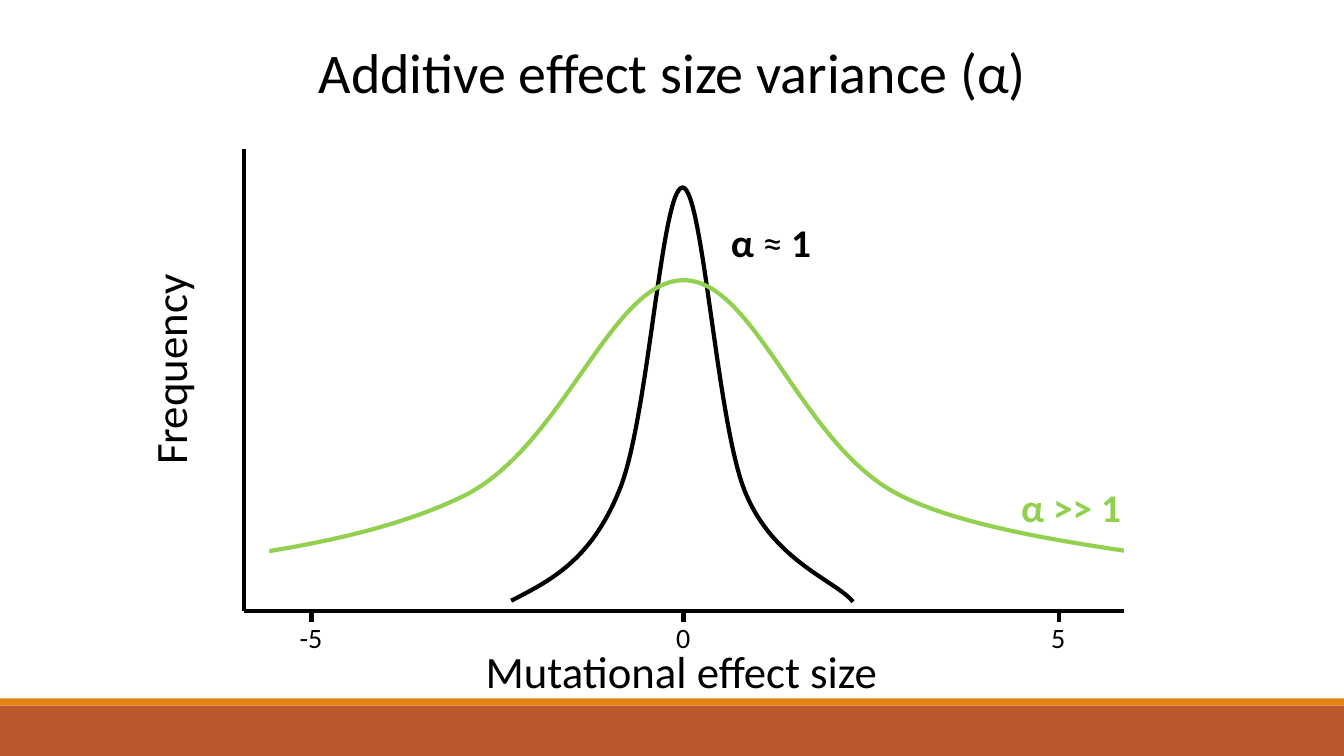
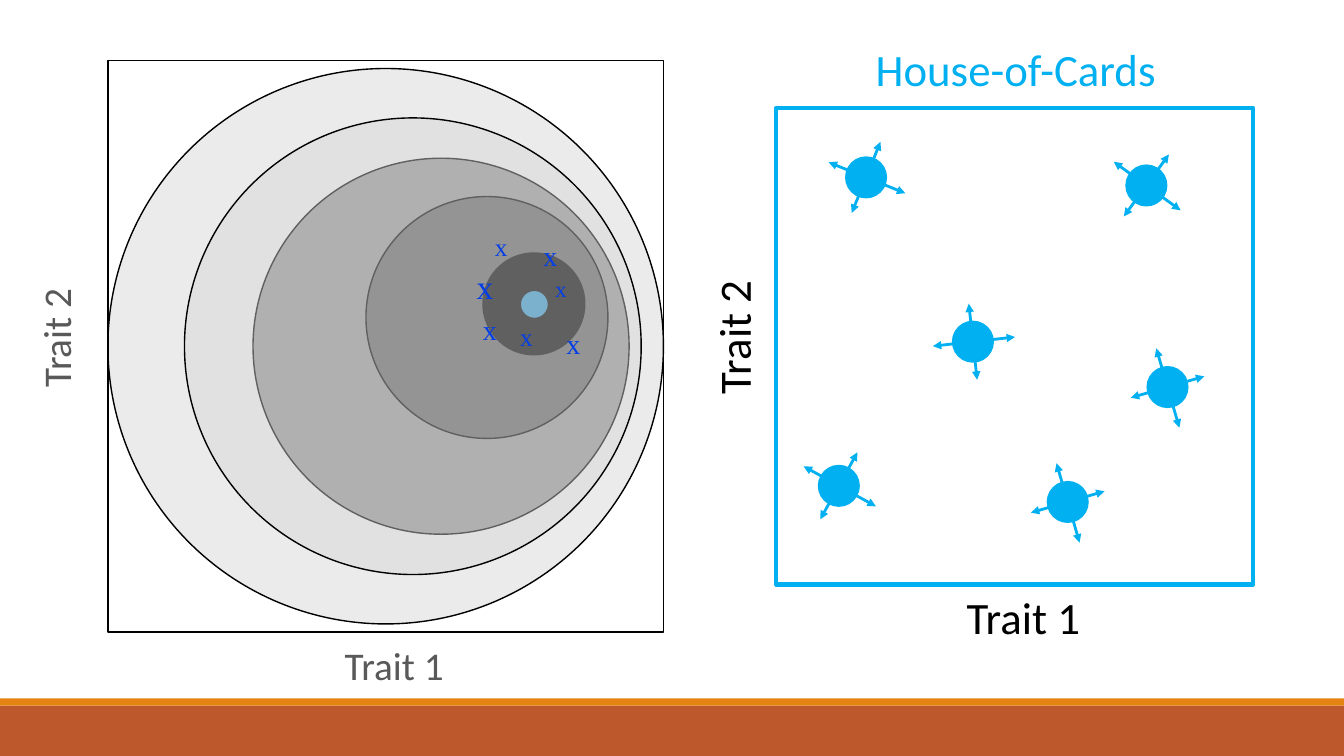
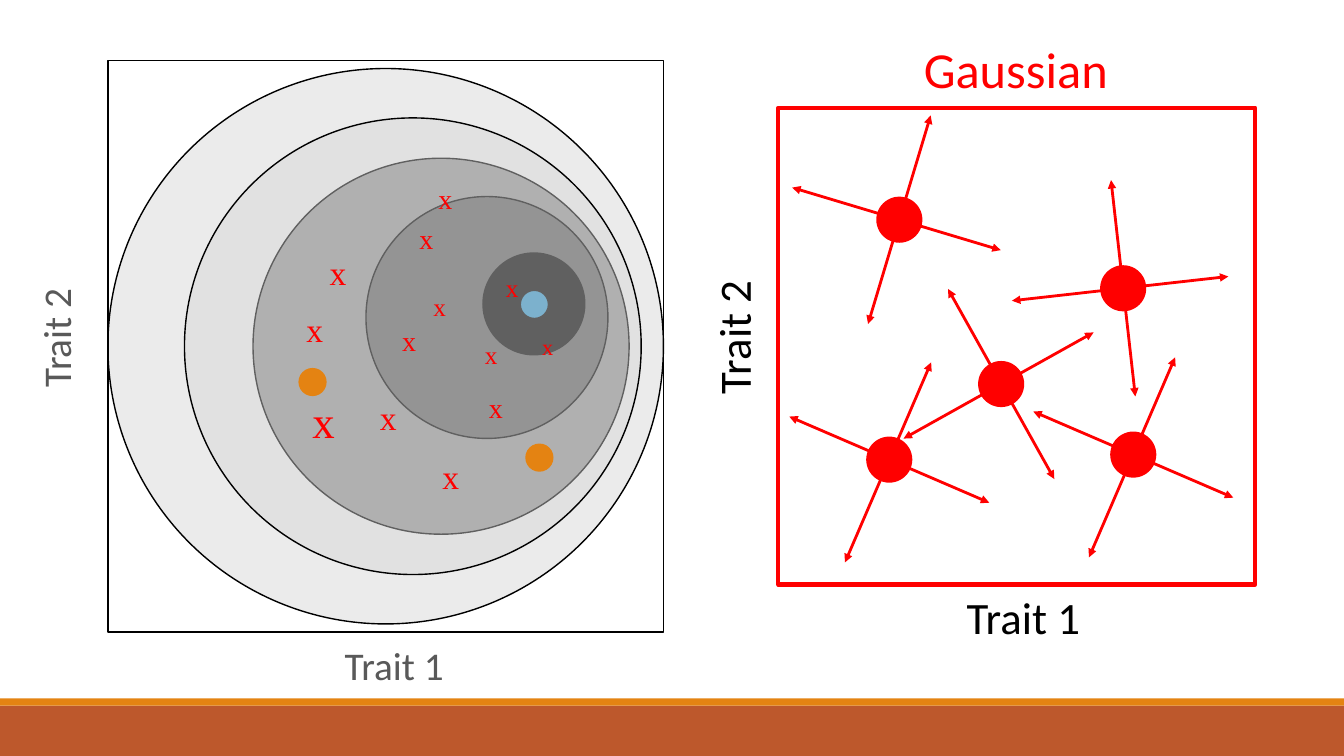
from math import cos, radians, sin

from lxml import etree
from pptx import Presentation
from pptx.dml.color import RGBColor
from pptx.enum.shapes import MSO_CONNECTOR, MSO_SHAPE
from pptx.enum.text import MSO_AUTO_SIZE, PP_ALIGN
from pptx.oxml.ns import qn
from pptx.util import Inches, Pt

RECTANGLE = MSO_SHAPE.RECTANGLE
OVAL = MSO_SHAPE.OVAL
STRAIGHT = MSO_CONNECTOR.STRAIGHT
CENTER = PP_ALIGN.CENTER
LEFT = PP_ALIGN.LEFT
GROW = MSO_AUTO_SIZE.SHAPE_TO_FIT_TEXT

BODY_FONT = "Calibri"
MARK_FONT = "Times New Roman"
BLACK = "000000"
WHITE = "FFFFFF"
GRAY = "595959"
GREEN = "92D050"
RUST = "BD582C"
ORANGE = "E48312"
CYAN = "00B0F0"
BLUE = "023EE8"
RED = "FF0000"

AXIS_LEFT, AXIS_RIGHT, AXIS_Y = 2.42, 11.25, 6.06
TICKS = [("0", 6.78), ("5", 10.5), ("-5", 3.09)]

NARROW_CURVE = [
    (5.07, 5.96),
    (5.46, 5.76), (5.86, 5.56), (6.14, 4.87),
    (6.43, 4.19), (6.56, 1.86), (6.77, 1.86),
    (6.97, 1.86), (7.11, 4.2), (7.39, 4.88),
    (7.67, 5.57), (8.29, 5.76), (8.46, 5.97),
]
WIDE_CURVE = [
    (0.85, 5.69),
    (2.23, 5.55), (3.62, 5.4), (4.6, 4.92),
    (5.59, 4.43), (6.06, 2.78), (6.78, 2.78),
    (7.5, 2.78), (7.95, 4.44), (8.94, 4.92),
    (9.92, 5.41), (12.09, 5.54), (12.68, 5.7),
]

CARDS_STARS = [
    (8.59, 1.76, 22), (11.37, 1.84, 36), (9.65, 3.39, -6.3),
    (8.32, 4.82, 29), (10.59, 4.98, 73.8), (11.58, 3.84, 73.8),
]
GAUSSIAN_STARS = [
    (8.92, 2.18, 16.7), (11.14, 2.86, -6.4), (9.93, 3.81, -29.2),
    (8.82, 4.56, -66.7), (11.24, 4.51, -66.7),
]
CARDS_MARKS = [
    (5.29, 2.32, 20), (4.63, 2.59, 24), (5.06, 3.14, 18), (5.52, 3.19, 20),
    (5.41, 2.68, 16), (4.69, 3.05, 20), (4.81, 2.25, 18),
]
GAUSSIAN_MARKS = [
    (4.25, 1.75, 20), (4.06, 2.15, 20), (3.17, 2.45, 24), (4.71, 3.32, 18),
    (3.89, 3.16, 20), (4.2, 2.84, 18), (3.67, 3.89, 24), (5.28, 3.26, 16),
    (4.92, 2.65, 18), (4.75, 3.82, 20), (2.94, 3.02, 24), (3, 3.86, 32),
    (4.29, 4.47, 24),
]


def rgb(value):
    return RGBColor.from_string(value)


def style_shape(shape, fill, line, weight):
    shape.shadow.inherit = False
    if fill:
        shape.fill.solid()
        shape.fill.fore_color.rgb = rgb(fill)
    else:
        shape.fill.background()
    if line:
        shape.line.color.rgb = rgb(line)
        shape.line.width = Pt(weight)
    else:
        shape.line.fill.background()


def add_box(shapes, kind, left, top, width, height, fill=None, line=None,
            weight=1, opacity=None):
    shape = shapes.add_shape(
        kind, Inches(left), Inches(top), Inches(width), Inches(height))
    style_shape(shape, fill, line, weight)
    if opacity:
        color = shape.element.spPr.find(qn("a:solidFill"))[0]
        etree.SubElement(color, qn("a:alpha"), val=str(opacity * 1000))
    return shape


def add_line(shapes, start, end, color, weight, arrows=False):
    connector = shapes.add_connector(
        STRAIGHT, *[Inches(value) for value in (*start, *end)])
    connector.line.color.rgb = rgb(color)
    connector.line.width = Pt(weight)
    properties = connector.element.spPr
    if arrows:
        outline = properties.find(qn("a:ln"))
        for tag in ("a:headEnd", "a:tailEnd"):
            etree.SubElement(outline, qn(tag), type="triangle")
    etree.SubElement(properties, qn("a:effectLst"))


def add_label(shapes, left, top, width, runs, size, color, align=CENTER,
              font=BODY_FONT, rotation=0, wrap=True):
    height = 0.1 + size * 1.2 / 72
    shape = shapes.add_textbox(
        Inches(left), Inches(top), Inches(width), Inches(height))
    shape.rotation = rotation
    frame = shape.text_frame
    frame.word_wrap = wrap
    frame.auto_size = GROW
    paragraph = frame.paragraphs[0]
    paragraph.alignment = align
    for text, bold in runs:
        run = paragraph.add_run()
        run.text = text
        run.font.name = font
        run.font.size = Pt(size)
        run.font.bold = bold
        run.font.color.rgb = rgb(color)


def add_mark(shapes, left, top, size, color):
    width = 0.2 + size * 0.5 / 72
    add_label(shapes, left, top, width, [("x", False)], size, color,
              align=LEFT, font=MARK_FONT, wrap=False)


def add_curve(shapes, points, color):
    outline = [(Inches(x), Inches(y)) for x, y in points]
    builder = shapes.build_freeform(*outline[0])
    builder.add_line_segments(outline[1:], close=False)
    shape = builder.convert_to_shape()
    segments = list(shape.element.iter(qn("a:lnTo")))
    for first in range(0, len(segments), 3):
        bezier = etree.SubElement(segments[first].getparent(),
                                  qn("a:cubicBezTo"))
        for segment in segments[first:first + 3]:
            bezier.append(segment[0])
            segment.getparent().remove(segment)
    style_shape(shape, None, color, 3)


def add_star(shapes, x, y, angle, diameter, arms, shift, color):
    star = shapes.add_group_shape().shapes
    add_box(star, OVAL, x - diameter / 2, y - diameter / 2, diameter, diameter,
            color, color, 1.25)
    for arm, turn, offset in zip(arms, (0, 90), (shift, 0)):
        dx, dy = cos(radians(angle + turn)), sin(radians(angle + turn))
        start, end = [(x + dx * reach, y + dy * reach)
                      for reach in (offset - arm, offset + arm)]
        add_line(star, start, end, color, 2, arrows=True)


def add_landscape(shapes):
    for left, top, size, fill in (
            (1.07, 0.68, 5.51, "EBEBEB"), (2.51, 1.57, 3.73, "929292"),
            (3.63, 1.95, 2.4, "5E5E5E"), (4.79, 2.51, 1.01, BLACK),
            (5.16, 2.88, 0.28, "3394C6")):
        add_box(shapes, OVAL, left, top, size, size, fill, BLACK)
    add_box(shapes, OVAL, 1.83, 1.17, 4.53, 4.53, "D6D6D6", BLACK, opacity=45)
    add_box(shapes, RECTANGLE, 1.07, 0.6, 5.51, 5.67, line=BLACK)
    add_label(shapes, 2.89, 6.31, 2.04, [("Trait 1", False)], 28, GRAY)
    add_label(shapes, -0.47, 3.07, 2.04, [("Trait 2", False)], 28, GRAY,
              rotation=270)


def add_trait_panel(shapes, left, title, title_top, title_size, color):
    add_box(shapes, RECTANGLE, left, 1.07, 4.73, 4.73, WHITE, color, 3)
    add_label(shapes, 8.44, title_top, 3.27, [(title, False)], title_size, color)
    add_label(shapes, 8.98, 5.8, 2.34, [("Trait 1", False)], 32, BLACK)
    add_label(shapes, 6.1, 3.03, 2.34, [("Trait 2", False)], 32, BLACK,
              rotation=270)


def new_slide(presentation):
    return presentation.slides.add_slide(presentation.slide_layouts[6]).shapes


def add_master_bands(presentation, shapes):
    master_tree = presentation.slide_master.shapes.element
    for top, height, color in ((7, 0.5, RUST), (6.93, 0.07, ORANGE)):
        band = add_box(shapes, RECTANGLE, 0, top, 13.33, height, color)
        master_tree.append(band.element)


def build_variance_slide(presentation):
    shapes = new_slide(presentation)
    add_master_bands(presentation, shapes)
    add_curve(shapes, NARROW_CURVE, BLACK)
    add_curve(shapes, WIDE_CURVE, GREEN)
    add_box(shapes, RECTANGLE, 0, 3.4, 2.67, 2.67, WHITE)
    add_line(shapes, (AXIS_LEFT, 1.48), (AXIS_LEFT, AXIS_Y), BLACK, 3)
    add_line(shapes, (AXIS_RIGHT, AXIS_Y), (AXIS_LEFT, AXIS_Y), BLACK, 3)
    add_box(shapes, RECTANGLE, 11.15, 3.77, 1.91, 2.67, WHITE)
    add_label(shapes, 0.17, 3.35, 3.02, [("Frequency", False)], 32, BLACK,
              rotation=270)
    add_label(shapes, 4.43, 6.34, 4.66, [("Mutational effect size", False)],
              32, BLACK)
    for text, x in TICKS:
        add_line(shapes, (x, AXIS_Y), (x, AXIS_Y + 0.11), BLACK, 3)
        add_label(shapes, x - 0.38, 6.11, 0.75, [(text, False)], 20, BLACK)
    add_label(shapes, 10.03, 4.75, 1.42, [("α >> 1", True)], 28, GREEN,
              align=LEFT)
    add_label(shapes, 7.15, 2.12, 1.19,
              [("α ", True), ("≈", False), (" 1", True)], 28, BLACK, align=LEFT)
    add_label(shapes, 1.6, 0.32, 10.14,
              [("Additive effect size variance (α)", False)], 40, BLACK)


def build_cards_slide(presentation):
    shapes = new_slide(presentation)
    add_trait_panel(shapes, 7.7, "House-of-Cards", 0.36, 32, CYAN)
    for x, y, angle in CARDS_STARS:
        add_star(shapes, x, y, angle, 0.4, (0.41, 0.38), 0.01, CYAN)
    add_landscape(shapes)
    for left, top, size in CARDS_MARKS:
        add_mark(shapes, left, top, size, BLUE)


def build_gaussian_slide(presentation):
    shapes = new_slide(presentation)
    add_trait_panel(shapes, 7.72, "Gaussian", 0.33, 36, RED)
    for x, y, angle in GAUSSIAN_STARS:
        add_star(shapes, x, y, angle, 0.44, (1.08, 1.08), -0.03, RED)
    add_landscape(shapes)
    for left, top, size in GAUSSIAN_MARKS:
        add_mark(shapes, left, top, size, RED)
    for left, top in ((5.21, 4.4), (2.96, 3.65)):
        add_box(shapes, OVAL, left, top, 0.28, 0.28, ORANGE)


def main():
    presentation = Presentation()
    presentation.slide_width = Inches(13.33)
    presentation.slide_height = Inches(7.5)
    build_variance_slide(presentation)
    build_cards_slide(presentation)
    build_gaussian_slide(presentation)
    presentation.save("out.pptx")


if __name__ == "__main__":
    main()
